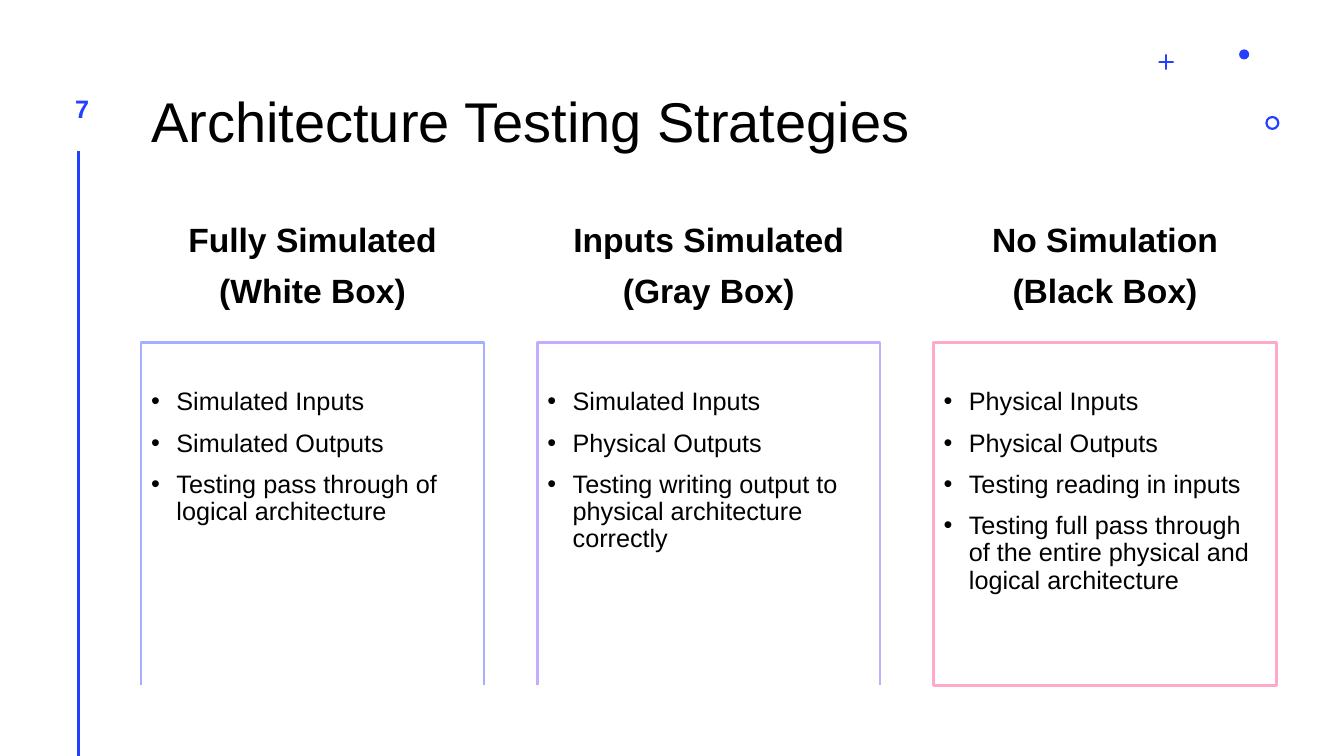
from lxml import etree
from pptx import Presentation
from pptx.dml.color import RGBColor
from pptx.enum.shapes import MSO_CONNECTOR as CONN, MSO_SHAPE as SHAPE
from pptx.enum.text import MSO_ANCHOR as ANCHOR, MSO_AUTO_SIZE as AUTOSIZE, PP_ALIGN as ALIGN
from pptx.oxml.ns import qn
from pptx.util import Inches, Pt

BLUE, BLACK = "243FFF", "000000"
COLUMN_W, COLUMN_STEP = 3.4, 3.93
HEADING = dict(size=Pt(24), bold=True)
BULLET = dict(size=Pt(18), bold=False)
SPACED = dict(line_spacing=0.9, space_before=Pt(10))

# heading lines, bullets, frame colour, frame width, whether the frame has a bottom
COLUMNS = [
    (["Fully Simulated", "(White Box)"],
     ["Simulated Inputs", "Simulated Outputs",
      "Testing pass through of logical architecture"], "A3AFFF", 1.75, False),
    (["Inputs Simulated", "(Gray Box)"],
     ["Simulated Inputs", "Physical Outputs",
      "Testing writing output to physical architecture correctly"], "C4ADFF", 1.75, False),
    (["No Simulation", "(Black Box)"],
     ["Physical Inputs", "Physical Outputs", "Testing reading in inputs",
      "Testing full pass through of the entire physical and logical architecture"],
     "FFA9CA", 2.25, True),
]


def rgb(value):
    return RGBColor.from_string(value)


def set_all(obj, values):
    for name, value in values.items():
        setattr(obj, name, value)


def place(sp, x, y, w, h):
    set_all(sp, dict(left=Inches(x), top=Inches(y), width=Inches(w), height=Inches(h)))


def write(sp, lines, font, para, frame, color=BLACK):
    tf = sp.text_frame
    set_all(tf, dict(word_wrap=True, auto_size=AUTOSIZE.NONE, **frame))
    for i, line in enumerate(lines):
        p = tf.paragraphs[0] if i == 0 else tf.add_paragraph()
        set_all(p, para)
        r = p.add_run()
        r.text = line
        set_all(r.font, dict(name="Arial", **font))
        r.font.color.rgb = rgb(color)


def add_bullets(tf, indent):
    for p in tf.paragraphs:
        pPr = p._p.get_or_add_pPr()
        pPr.set("marL", str(Inches(indent)))
        pPr.set("indent", str(-Inches(indent)))
        etree.SubElement(pPr, qn("a:buFont"), typeface="Arial")
        etree.SubElement(pPr, qn("a:buChar"), char="•")


def add_frame(slide, x, y, w, h, color, width, closed):
    # open frames run down the left, across the top and down the right
    fb = slide.shapes.build_freeform(Inches(x), Inches(y + h), scale=1.0)
    corners = [(x, y), (x + w, y), (x + w, y + h)]
    fb.add_line_segments([(Inches(a), Inches(b)) for a, b in corners], close=closed)
    sp = fb.convert_to_shape()
    sp.shadow.inherit = False
    sp.fill.background()
    sp.line.color.rgb = rgb(color)
    sp.line.width = Pt(width)


def add_column(slide, body, x, y, w, heading, bullets, color, width, closed):
    # heading
    sp = slide.shapes.add_textbox(Inches(x), Inches(y), Inches(w), Inches(1.3))
    write(sp, heading, HEADING, dict(alignment=ALIGN.CENTER, **SPACED),
          dict(vertical_anchor=ANCHOR.MIDDLE))
    # framed list
    box = (x, y + 1.4, w, w)
    add_frame(slide, *box, color, width, closed)
    place(body, *box)
    write(body, bullets, BULLET, dict(alignment=ALIGN.LEFT, **SPACED),
          dict(vertical_anchor=ANCHOR.TOP, margin_top=Inches(0.46)))
    add_bullets(body.text_frame, 0.25)


def add_page_rail(slide, x, y, size):
    # page number and the line below it
    sp = slide.shapes.add_textbox(Inches(x), Inches(y), Inches(size), Inches(size))
    margins = {f"margin_{side}": 0 for side in ("left", "top", "right", "bottom")}
    write(sp, ["7"], dict(size=Pt(18), bold=True), dict(alignment=ALIGN.CENTER),
          dict(vertical_anchor=ANCHOR.MIDDLE, **margins), BLUE)
    line_x = Inches(x + 0.25)
    rail = slide.shapes.add_connector(CONN.STRAIGHT, line_x, Inches(1.5), line_x, Inches(7.5))
    rail.line.color.rgb = rgb(BLUE)
    rail.line.width = Pt(2)
    etree.SubElement(rail._element.spPr, qn("a:effectLst"))


def add_ornaments(slide, x, y):
    # plus, dot and ring in the corner
    for kind, dx, dy, size, adjust in [(SHAPE.CROSS, 0, 0.05, 0.15, 0.44),
                                       (SHAPE.OVAL, 0.8, 0, 0.1, None),
                                       (SHAPE.DONUT, 1.06, 0.66, 0.14, 0.16)]:
        sp = slide.shapes.add_shape(kind, Inches(x + dx), Inches(y + dy),
                                    Inches(size), Inches(size))
        sp.shadow.inherit = False
        sp.fill.solid()
        sp.fill.fore_color.rgb = rgb(BLUE)
        sp.line.fill.background()
        if adjust:
            sp.adjustments[0] = adjust


def main():
    prs = Presentation()
    set_all(prs, dict(slide_width=Inches(13.33), slide_height=Inches(7.5)))
    slide = prs.slides.add_slide(prs.slide_layouts[4])
    title, *bodies = slide.placeholders

    add_page_rail(slide, 0.53, 0.79, 0.57)
    add_ornaments(slide, 11.49, 0.49)

    place(title, 1.4, 0.58, 9.99, 1)
    write(title, ["Architecture Testing Strategies"], dict(size=Pt(40), bold=False),
          dict(alignment=ALIGN.LEFT, line_spacing=0.9), dict(vertical_anchor=ANCHOR.BOTTOM))

    for i, (body, column) in enumerate(zip(bodies, COLUMNS)):
        add_column(slide, body, 1.4 + i * COLUMN_STEP, 2, COLUMN_W, *column)

    # the layout has more list placeholders than columns
    for spare in bodies[len(COLUMNS):]:
        spare._element.getparent().remove(spare._element)
    prs.save("out.pptx")


if __name__ == "__main__":
    main()
